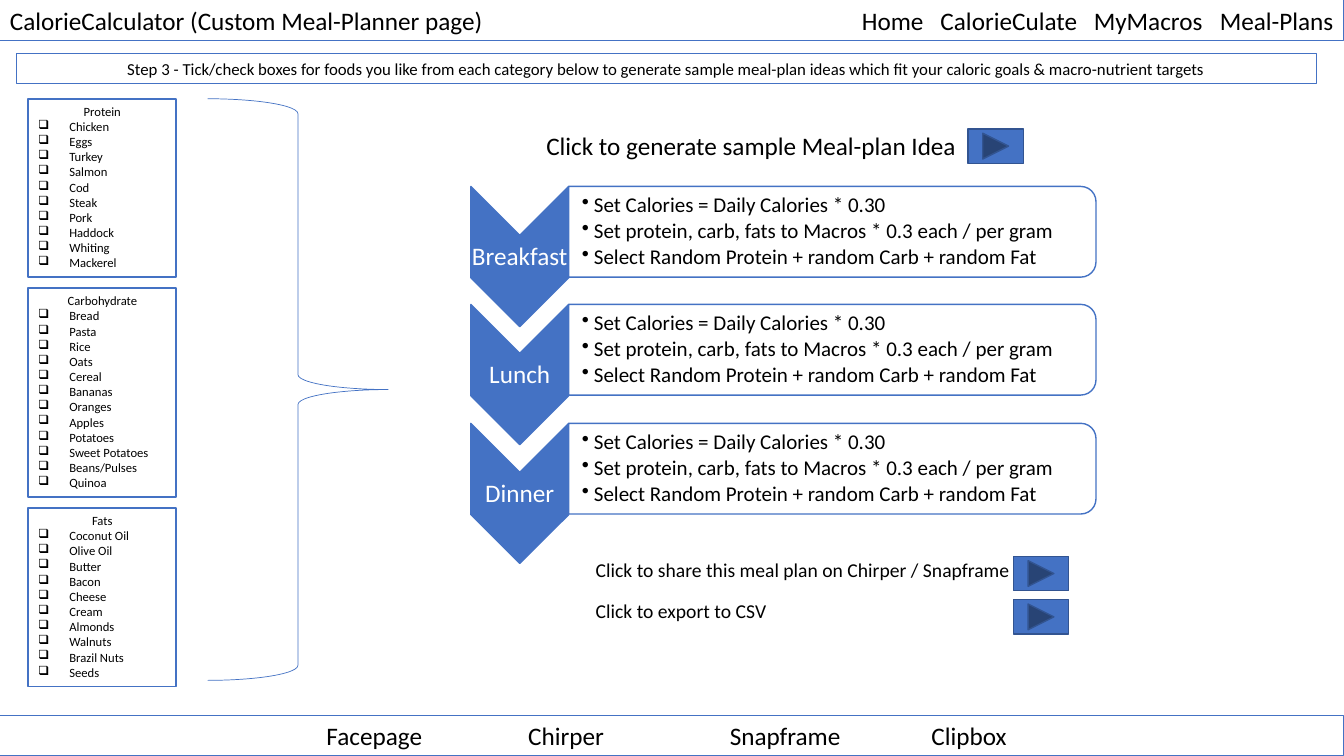
from lxml.etree import SubElement
from pptx import Presentation
from pptx.dml.color import RGBColor
from pptx.enum.shapes import MSO_SHAPE
from pptx.enum.text import MSO_ANCHOR, PP_ALIGN
from pptx.oxml.ns import qn
from pptx.util import Pt

SCALE = 9144
BLUE, DARK_BLUE, WHITE, BLACK = "4472C4", "325491", "FFFFFF", "000000"
FOODS = {
    "Protein": ["Chicken", "Eggs", "Turkey", "Salmon", "Cod", "Steak", "Pork",
                "Haddock", "Whiting", "Mackerel"],
    "Carbohydrate": ["Bread", "Pasta", "Rice", "Oats", "Cereal", "Bananas", "Oranges",
                     "Apples", "Potatoes", "Sweet Potatoes", "Beans/Pulses", "Quinoa"],
    "Fats": ["Coconut Oil", "Olive Oil", "Butter", "Bacon", "Cheese", "Cream",
             "Almonds", "Walnuts", "Brazil Nuts", "Seeds"],
}
MEALS = ["Breakfast", "Lunch", "Dinner"]
MEAL_RULES = [
    "Set Calories = Daily Calories * 0.30",
    "Set protein, carb, fats to Macros * 0.3 each / per gram",
    "Select Random Protein + random Carb + random Fat",
]
PAGE_LINKS = [("Home", 845), ("CalorieCulate", 923), ("MyMacros", 1075), ("Meal-Plans", 1200)]
SOCIAL_LINKS = ["Facepage", "Chirper", "Snapframe", "Clipbox"]


def px(length):
    """Turn px into EMU."""
    return int(length * SCALE)


def color(value):
    """Turn a hex string into a colour."""
    return RGBColor.from_string(value)


def add_shape(page, kind, box, fill=None, line=BLUE, weight=0.75, turned=False):
    """Draw a preset shape that covers box, optionally turned by 90 degrees."""
    left, top, width, height = box
    if turned:
        left, top = left + (width - height) / 2, top + (height - width) / 2
        width, height = height, width
    shape = page.shapes.add_shape(kind, px(left), px(top), px(width), px(height))
    shape.rotation = 90 if turned else 0
    shape.shadow.inherit = False
    if fill:
        shape.fill.solid()
        shape.fill.fore_color.rgb = color(fill)
    else:
        shape.fill.background()
    shape.line.color.rgb = color(line)
    shape.line.width = Pt(weight)
    return shape


def add_text_box(page, box):
    """Add an empty text box that covers box."""
    return page.shapes.add_textbox(*map(px, box))


def set_bullet(para, bullet, indent):
    """Give a paragraph a bullet and a hanging indent."""
    properties = para._p.get_or_add_pPr()
    properties.set("marL", str(px(indent)))
    properties.set("indent", str(-px(indent)))
    SubElement(properties, qn("a:buChar")).set("char", bullet)


def write(shape, lines, size=18, ink=BLACK, align=PP_ALIGN.LEFT, anchor=MSO_ANCHOR.TOP,
          insets=(10, 5, 10, 5), bullet=None, indent=0, heading=None, spacing=None, after=0):
    """Write lines into a shape, below an optional centred heading."""
    frame = shape.text_frame
    frame.word_wrap = True
    frame.vertical_anchor = anchor
    frame.margin_left, frame.margin_top, frame.margin_right, frame.margin_bottom = map(px, insets)
    texts = ([heading] if heading else []) + lines
    for index, text in enumerate(texts):
        para = frame.add_paragraph() if index else frame.paragraphs[0]
        is_heading = heading is not None and index == 0
        para.alignment = PP_ALIGN.CENTER if is_heading else align
        if spacing:
            para.line_spacing = spacing
        para.space_after = Pt(after)
        if bullet and not is_heading:
            set_bullet(para, bullet, indent)
        span = para.add_run()
        span.text = text
        span.font.name = "Calibri"
        span.font.size = Pt(size)
        span.font.color.rgb = color(ink)


def add_header(page, box):
    """Place the title bar with its page links."""
    left, top, width, height = box
    write(add_shape(page, MSO_SHAPE.RECTANGLE, box),
          ["CalorieCalculator (Custom Meal-Planner page)"])
    for label, offset in PAGE_LINKS:
        write(add_text_box(page, (left + offset, top, 160, height)), [label])


def add_footer(page, box):
    """Place the bottom bar with evenly spaced social links."""
    left, top, width, height = box
    add_shape(page, MSO_SHAPE.RECTANGLE, box)
    for index, label in enumerate(SOCIAL_LINKS):
        write(add_text_box(page, (left + 314 + 200 * index, top, 160, height)), [label])


def add_step(page, box):
    """Place the instruction strip."""
    write(add_shape(page, MSO_SHAPE.RECTANGLE, box), [
        "Step 3 - Tick/check boxes for foods you like from each category below to generate "
        "sample meal-plan ideas which fit your caloric goals & macro-nutrient targets"
    ], size=12, align=PP_ALIGN.CENTER)


def add_food_lists(page, box):
    """Stack the food check lists and gather them with a brace."""
    left, top, width, height = box
    list_top = top
    for category, foods in FOODS.items():
        list_height = 27 + 15 * len(foods)
        card = add_shape(page, MSO_SHAPE.RECTANGLE, (left, list_top, 147, list_height), weight=1.25)
        write(card, foods, size=9, heading=category, bullet="❑", indent=31)
        list_top += list_height + 11
    add_shape(page, MSO_SHAPE.RIGHT_BRACE, (left + 178, top, width - 178, height), weight=0.5)


def add_meal(page, box, meal):
    """Place one meal's chevron and its rules."""
    left, top, width, height = box
    add_shape(page, MSO_SHAPE.CHEVRON, (left, top, 97, height), fill=BLUE, weight=1, turned=True)
    write(add_text_box(page, (left, top + 49, 97, 42)), [meal], ink=WHITE, align=PP_ALIGN.CENTER,
          anchor=MSO_ANCHOR.MIDDLE, insets=(1, 1, 1, 1), spacing=0.9)
    add_shape(page, MSO_SHAPE.ROUND_2_SAME_RECTANGLE, (left + 97, top, width - 97, 90),
              fill=WHITE, weight=1, turned=True)
    write(add_text_box(page, (left + 98, top + 4, width - 102, 82)), MEAL_RULES, size=15,
          anchor=MSO_ANCHOR.MIDDLE, insets=(12, 1, 1, 1), bullet="•", indent=12,
          spacing=0.9, after=2.25)


def add_meals(page, box):
    """Stack the meals at an equal pitch."""
    left, top, width, height = box
    for index, meal in enumerate(MEALS):
        add_meal(page, (left, top + 235 * index // 2, width, 139), meal)


def add_action(page, box, label, size, button_left, button_drop):
    """Place a prompt with its forward button."""
    left, top, width, height = box
    write(add_text_box(page, box), [label], size=size)
    add_shape(page, MSO_SHAPE.ACTION_BUTTON_FORWARD_OR_NEXT,
              (left + button_left, top + button_drop, 55, 34),
              fill=BLUE, line=DARK_BLUE, weight=1)


def main():
    """Build the meal planner slide."""
    deck = Presentation()
    deck.slide_width, deck.slide_height = px(1333), px(750)
    page = deck.slides.add_slide(deck.slide_layouts[6])
    add_header(page, (0, 0, 1333, 40))
    add_footer(page, (0, 710, 1333, 40))
    add_step(page, (16, 53, 1290, 30))
    add_food_lists(page, (28, 98, 357, 577))
    add_action(page, (532, 124, 607, 40), "Click to generate sample Meal-plan Idea", 18, 428, 4)
    add_meals(page, (467, 185, 620, 374))
    add_action(page, (581, 549, 607, 34), "Click to share this meal plan on Chirper / Snapframe",
               14, 424, 3)
    add_action(page, (581, 589, 607, 34), "Click to export to CSV", 14, 424, 6)
    deck.save("out.pptx")


if __name__ == "__main__":
    main()
